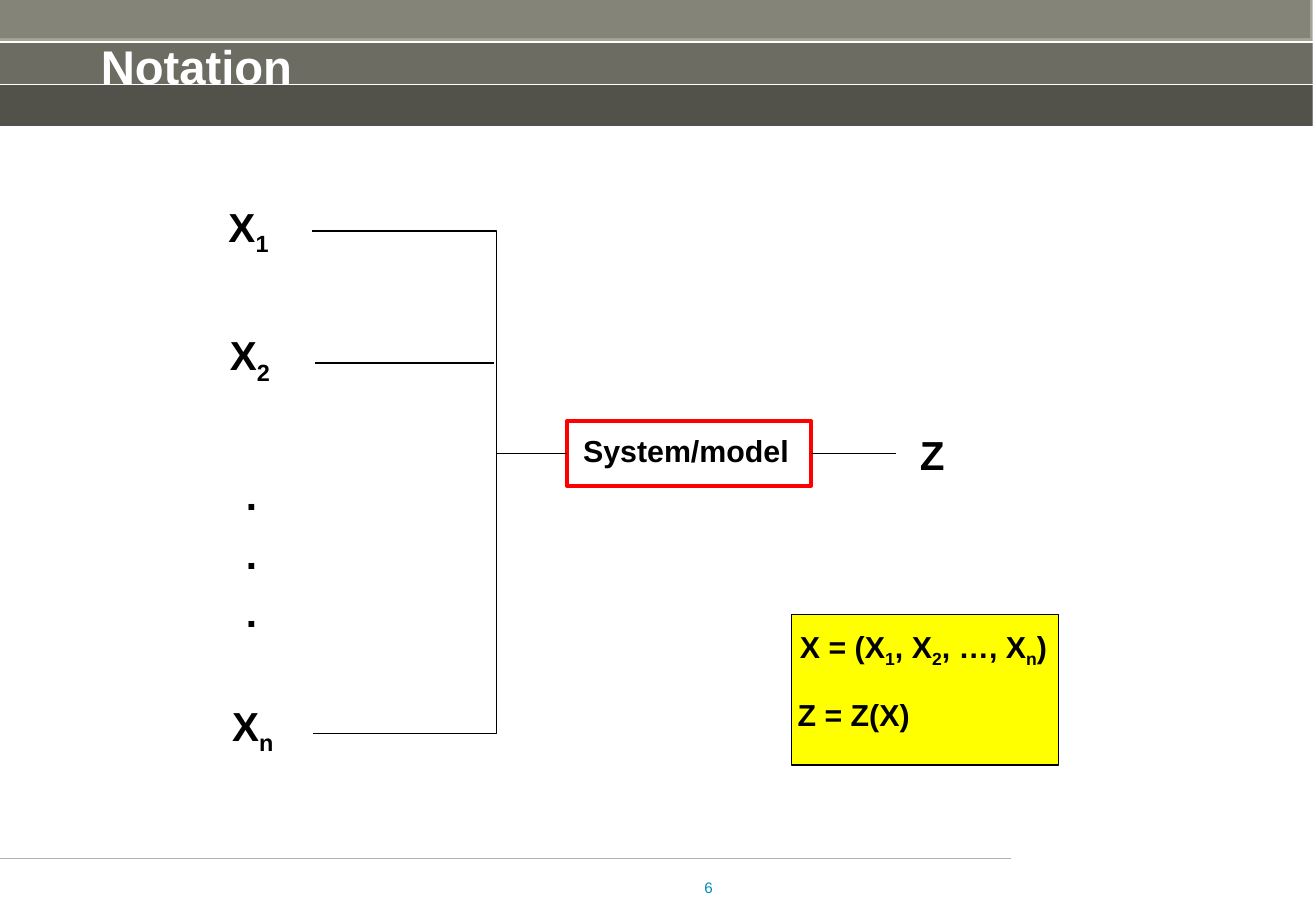
from lxml import etree
from pptx import Presentation
from pptx import util as u
from pptx.dml.color import RGBColor
from pptx.enum import shapes, text
from pptx.oxml import ns

Cm, Pt = u.Cm, u.Pt
HUES = {"band": "A6A698", "black": "000000", "white": "FFFFFF", "rule": "B2B2B2",
        "page": "008BBF", "red": "FF0000", "yellow": "FFFF00"}
RECT = shapes.MSO_SHAPE.RECTANGLE
LEFT, MID, RIGHT = text.PP_ALIGN.LEFT, text.PP_ALIGN.CENTER, text.PP_ALIGN.RIGHT

deck = Presentation()
deck.slide_width, deck.slide_height = Cm(27.53), Cm(19.05)
slide = deck.slides.add_slide(deck.slide_layouts[6])
items = slide.shapes


def write(lines, x, y, w, h, size=24, hue="black", bold=True, align=MID,
          wrap=False, pad=0, gap=6):
    """Add a text box; each line is a list of parts, where "_" marks a subscript."""
    frame = items.add_textbox(Cm(x), Cm(y), Cm(w), Cm(h)).text_frame
    frame.word_wrap = wrap
    frame.margin_left = frame.margin_right = 0
    frame.margin_top = frame.margin_bottom = Cm(pad)
    for i, parts in enumerate(lines):
        para = frame.paragraphs[0] if i == 0 else frame.add_paragraph()
        para.alignment = align
        if i:
            para.space_before = Pt(gap)
        for part in parts:
            run = para.add_run()
            run.text = part.lstrip("_")
            font = run.font
            font.name, font.size, font.bold = "Arial", Pt(size), bold
            font.color.rgb = RGBColor.from_string(HUES[hue])
            if part.startswith("_"):
                run._r.get_or_add_rPr().set("baseline", "-25000")


def draw(kind, x, y, w, h=0, fill=None, line=None, width=0.75, alpha=None):
    """Add a rectangle, or a level line of length w."""
    if kind == "line":
        item = items.add_connector(shapes.MSO_CONNECTOR.STRAIGHT,
                                   Cm(x), Cm(y), Cm(x + w), Cm(y))
        etree.SubElement(item._element.spPr, ns.qn("a:effectLst"))
    else:
        item = items.add_shape(RECT, Cm(x), Cm(y), Cm(w), Cm(h))
        item.shadow.inherit = False
        if fill:
            item.fill.solid()
            item.fill.fore_color.rgb = RGBColor.from_string(HUES[fill])
        else:
            item.fill.background()
        if alpha:
            tone = item._element.spPr.find(".//" + ns.qn("a:srgbClr"))
            etree.SubElement(tone, ns.qn("a:alpha")).set("val", str(alpha * 1000))
    if line:
        item.line.color.rgb = RGBColor.from_string(HUES[line])
        item.line.width = Pt(width)
    else:
        item.line.fill.background()
    return item


# Header bands, each darker than the one above
wide, step = 27.46, 0.88
draw("rect", 0, 0, wide, 3 * step, fill="band")
for i, (x, y) in enumerate([(-0.05, -0.08), (0, step), (0, 2 * step)]):
    draw("rect", x, y, wide, step, fill="black", alpha=20 + 15 * i)
for i in range(1, 4):
    draw("line", 0, i * step, wide, line="white")
write([["Notation"]], 2.11, 0.66, 24.66, 1.7, size=28, hue="white",
      align=LEFT, wrap=True, pad=0.13)

# Footer
draw("line", 0, 17.96, 21.16, line="rule")
write([["6"]], 13.49, 18.36, 1.42, 0.89, size=9, hue="page", bold=False,
      align=RIGHT, wrap=True)

# Inputs
for sub, x, y in [("_1", 4.6, 4.22), ("_2", 4.63, 6.91), ("_n", 4.69, 14.66)]:
    write([["X", sub]], x, y, 1.2, 1.17)
write([["."]] * 3, 4.96, 9.83, 0.6, 3.48)

# Bracket that gathers the inputs
trunk = 10.39
path = items.build_freeform(Cm(6.53), Cm(4.83), scale=1.0)
path.add_line_segments([(Cm(trunk), Cm(4.83)), (Cm(trunk), Cm(15.34)),
                        (Cm(6.55), Cm(15.34))], close=False)
fork = path.convert_to_shape()
fork.shadow.inherit = False
fork.fill.background()
fork.line.color.rgb = RGBColor.from_string(HUES["black"])
fork.line.width = Pt(0.75)
draw("line", 6.6, 7.59, 3.74, line="black")

# Model with its input and output
model = draw("rect", 11.86, 8.81, 5.11, 1.35, line="red", width=2.25)
write([["System/model"]], 11.95, 9.04, 4.8, 0.76, size=18)
level = 8.81 + 1.35 / 2
feed = draw("line", trunk, level, 11.86 - trunk, line="black")
feed.end_connect(model, 1)
out = draw("line", 16.97, level, 1.78, line="black")
out.begin_connect(model, 3)
write([["Z"]], 19, 8.99, 1, 1.02)

# Definitions
draw("rect", 16.56, 12.85, 5.59, 3.15, fill="yellow", line="black")
write([["X = (X", "_1", ", X", "_2", ", …, X", "_n", ")"]],
      16.59, 13.13, 5.46, 0.86, size=18)
write([["Z = Z(X)"]], 16.56, 14.55, 2.6, 0.76, size=18)

deck.save("out.pptx")
